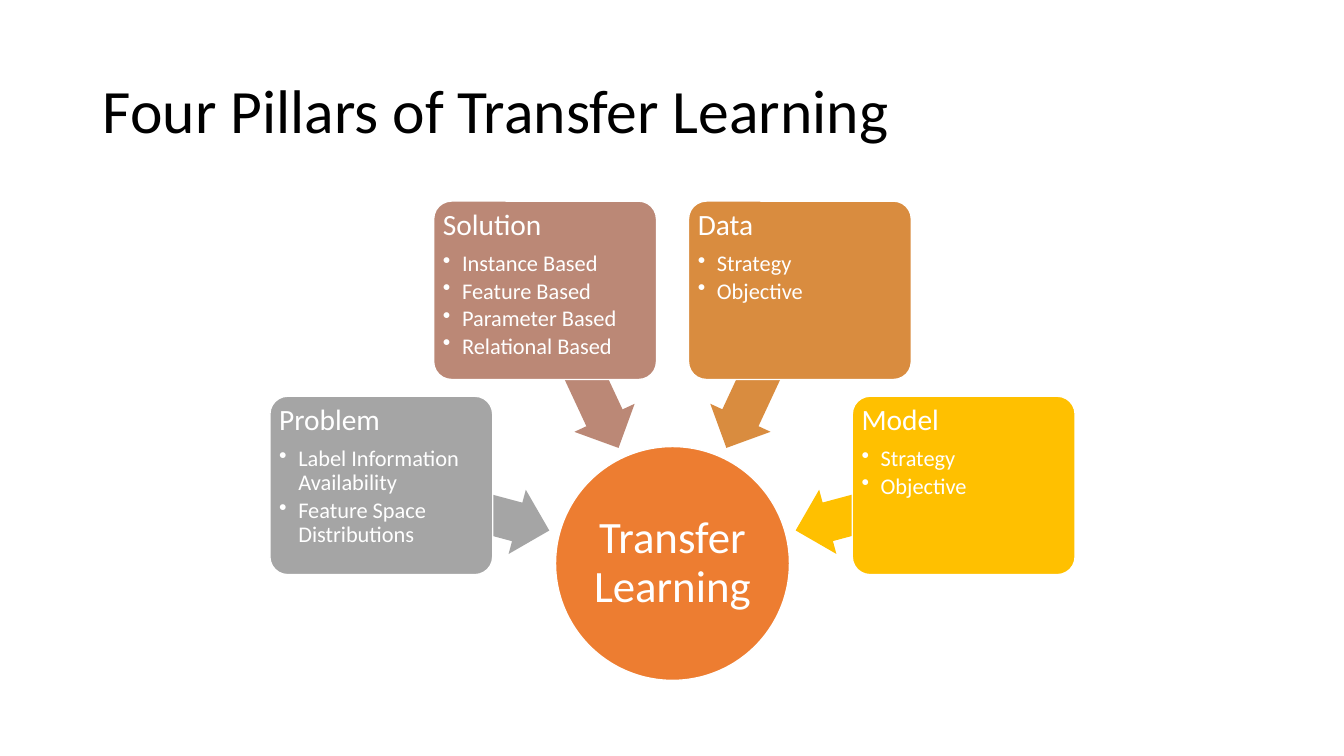
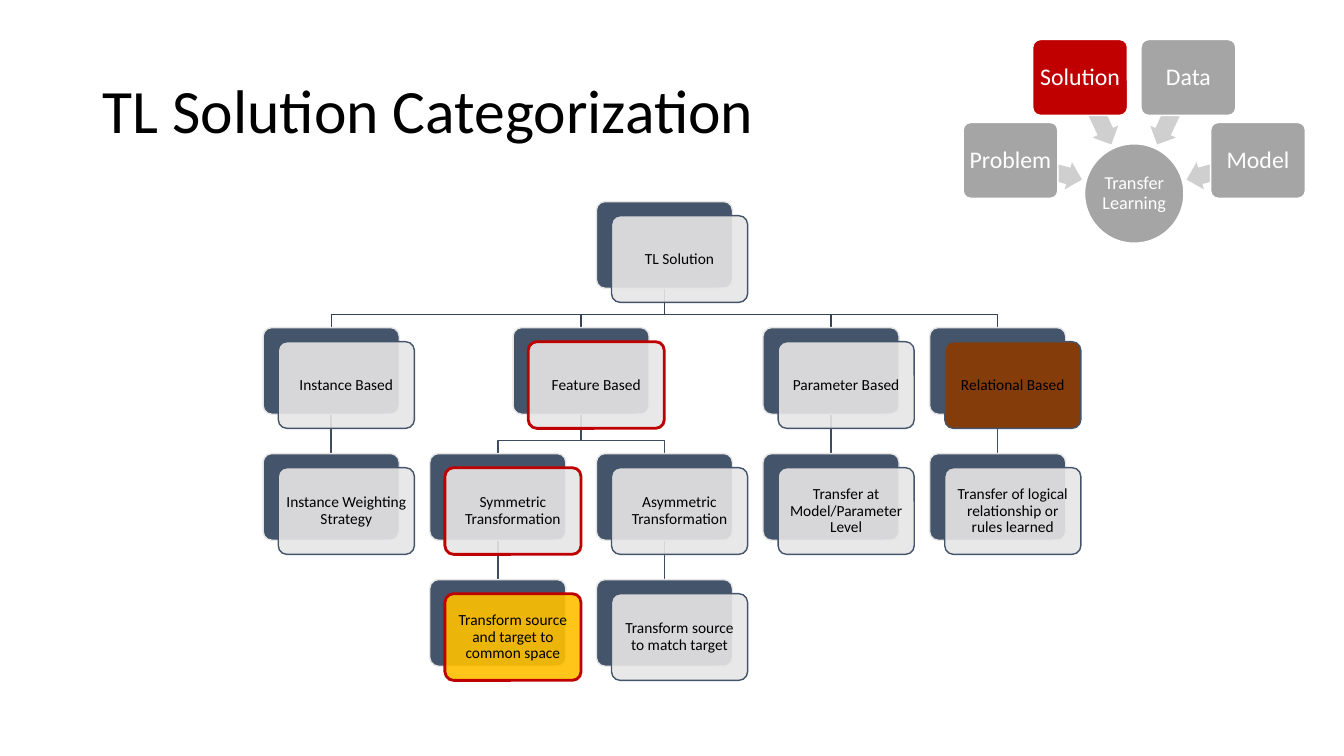
from dataclasses import dataclass
from itertools import count
from math import cos, radians, sin
from typing import Iterator

from lxml import etree
from pptx import Presentation
from pptx.dml.color import RGBColor
from pptx.enum.shapes import MSO_CONNECTOR, MSO_SHAPE
from pptx.enum.text import MSO_ANCHOR, MSO_AUTO_SIZE, PP_ALIGN
from pptx.oxml.ns import qn
from pptx.presentation import Presentation as Deck
from pptx.shapes.autoshape import Shape
from pptx.slide import Slide
from pptx.text.text import TextFrame, _Paragraph
from pptx.util import Emu, Pt

ELLIPSE, ROUNDED = MSO_SHAPE.OVAL, MSO_SHAPE.ROUNDED_RECTANGLE
LEFT_ARROW, STRAIGHT = MSO_SHAPE.LEFT_ARROW, MSO_CONNECTOR.STRAIGHT
LEFT, CENTER = PP_ALIGN.LEFT, PP_ALIGN.CENTER
TOP, MIDDLE = MSO_ANCHOR.TOP, MSO_ANCHOR.MIDDLE
NO_AUTOFIT = MSO_AUTO_SIZE.NONE
TITLE_ONLY = 5
EMU_PER_PX = 9144  # 100 px to the inch


@dataclass(frozen=True)
class Theme:
    font: str = "Calibri"
    black: str = "000000"
    white: str = "FFFFFF"
    grey: str = "A5A5A5"
    pale_grey: str = "CFCFCF"
    orange: str = "ED7D31"
    rose: str = "BB8876"
    amber: str = "D98C3F"
    gold: str = "FFC000"
    red: str = "C00000"
    brown: str = "843C0B"
    slate: str = "44546A"
    card: str = "E7E6E6"
    root_link: str = "364355"
    link: str = "3E4C60"
    title_size: int = 44
    bullet_size: int = 16
    node_size: int = 11
    line_spacing: float = 0.9


THEME = Theme()


@dataclass(frozen=True)
class Box:
    left: float
    top: float
    width: float
    height: float


@dataclass(frozen=True)
class Pillar:
    name: str
    color: str
    arrow_color: str
    bullets: tuple[str, ...] = ()


@dataclass(frozen=True)
class Hub:
    """A circle with pillars around it; scale 1 is the full-size diagram."""
    center_x: int
    center_y: int
    scale: float
    color: str
    hub_size: int
    pillar_size: int
    pillars: tuple[Pillar, ...]


@dataclass(frozen=True)
class Node:
    text: str
    children: tuple["Node", ...] = ()
    fill: str = THEME.card
    line: str = THEME.slate
    alpha: int = 90


@dataclass(frozen=True)
class PlacedNode:
    node: Node
    column: float
    level: int
    children: tuple["PlacedNode", ...]


HUB_DIAMETER = 232
PILLAR_WIDTH, PILLAR_HEIGHT, PILLAR_RADIUS = 221, 177, 299
ARROW_WIDTH, ARROW_HEIGHT, ARROW_RADIUS = 173, 66, 213
FIRST_ANGLE, ANGLE_STEP = 195, 50

TREE_LEFT, TREE_TOP = 261, 200
COLUMN_PITCH, LEVEL_PITCH = 165.25, 125
NODE_WIDTH, NODE_HEIGHT = 135, 86
CARD_SHIFT_X, CARD_SHIFT_Y = 15, 14
ELBOW_DROP = 26

PILLARS = (
    Pillar("Problem", THEME.grey, THEME.grey,
           ("Label Information Availability", "Feature Space Distributions")),
    Pillar("Solution", THEME.rose, THEME.rose,
           ("Instance Based", "Feature Based", "Parameter Based", "Relational Based")),
    Pillar("Data", THEME.amber, THEME.amber, ("Strategy", "Objective")),
    Pillar("Model", THEME.gold, THEME.gold, ("Strategy", "Objective")),
)
OVERVIEW = Hub(667, 559, 1, THEME.orange, 32, 21, PILLARS)
NAVIGATOR = Hub(1125, 192, 0.425, THEME.grey, 13, 17, tuple(
    Pillar(pillar.name, THEME.red if pillar.name == "Solution" else THEME.grey,
           THEME.pale_grey)
    for pillar in PILLARS))

SOLUTION_TREE = Node("TL Solution", (
    Node("Instance Based", (Node("Instance Weighting Strategy"),)),
    Node("Feature Based", (
        Node("Symmetric Transformation", (
            Node("Transform source and target to common space",
                 fill=THEME.gold, line=THEME.red),
        ), line=THEME.red),
        Node("Asymmetric Transformation", (Node("Transform source to match target"),)),
    ), line=THEME.red),
    Node("Parameter Based", (Node("Transfer at Model/Parameter Level"),)),
    Node("Relational Based", (Node("Transfer of logical relationship or rules learned"),),
         fill=THEME.brown, alpha=100),
))


def px(length: float) -> Emu:
    return Emu(round(length * EMU_PER_PX))


def rgb(color: str) -> RGBColor:
    return RGBColor.from_string(color)


def centered(x: float, y: float, width: float, height: float) -> Box:
    return Box(x - width / 2, y - height / 2, width, height)


def add_shape(slide: Slide, kind: MSO_SHAPE, box: Box, fill: str,
              line: str | None = None, line_width: float = 1, alpha: int = 100) -> Shape:
    shape = slide.shapes.add_shape(
        kind, px(box.left), px(box.top), px(box.width), px(box.height))
    shape.shadow.inherit = False
    shape.fill.solid()
    shape.fill.fore_color.rgb = rgb(fill)
    if alpha < 100:
        color = shape.fill._xPr.find(qn("a:solidFill"))[0]
        etree.SubElement(color, qn("a:alpha")).set("val", str(alpha * 1000))
    if line:
        shape.line.color.rgb = rgb(line)
        shape.line.width = Pt(line_width)
    else:
        shape.line.fill.background()
    if kind == ROUNDED:
        shape.adjustments[0] = 0.1
    return shape


def format_para(para: _Paragraph, size: int, color: str, align: PP_ALIGN) -> None:
    para.alignment = align
    para.line_spacing = THEME.line_spacing
    for run in para.runs:
        run.font.name = THEME.font
        run.font.size = Pt(size)
        run.font.color.rgb = rgb(color)


def add_bullet(para: _Paragraph) -> None:
    properties = para._p.get_or_add_pPr()
    properties.set("marL", str(px(19)))
    properties.set("indent", str(px(-19)))
    etree.SubElement(properties, qn("a:buChar")).set("char", "•")


def set_insets(frame: TextFrame, inset: int) -> None:
    frame.word_wrap = True
    frame.margin_left = frame.margin_right = px(inset)
    frame.margin_top = frame.margin_bottom = px(inset)


def write_label(shape: Shape, text: str, size: int, color: str, inset: int) -> None:
    frame = shape.text_frame
    set_insets(frame, inset)
    frame.vertical_anchor = MIDDLE
    frame.text = text
    format_para(frame.paragraphs[0], size, color, CENTER)


def write_list(shape: Shape, heading: str, size: int, bullets: tuple[str, ...]) -> None:
    frame = shape.text_frame
    set_insets(frame, 4)
    frame.vertical_anchor = TOP
    frame.text = heading
    format_para(frame.paragraphs[0], size, THEME.white, LEFT)
    frame.paragraphs[0].space_after = Pt(round(size * 0.35, 1))
    for bullet in bullets:
        para = frame.add_paragraph()
        para.text = bullet
        add_bullet(para)
        format_para(para, THEME.bullet_size, THEME.white, LEFT)
        para.space_after = Pt(round(THEME.bullet_size * 0.15, 1))


def add_titled_slide(deck: Deck, text: str) -> Slide:
    slide = deck.slides.add_slide(deck.slide_layouts[TITLE_ONLY])
    title = slide.shapes.title
    title.left, title.top, title.width, title.height = px(92), px(40), px(1150), px(145)
    frame = title.text_frame
    frame.text = text
    frame.word_wrap = True
    frame.auto_size = NO_AUTOFIT
    frame.vertical_anchor = MIDDLE
    format_para(frame.paragraphs[0], THEME.title_size, THEME.black, LEFT)
    return slide


def draw_hub(slide: Slide, hub: Hub) -> None:
    def around(angle: int, radius: int, width: int, height: int) -> Box:
        distance = radius * hub.scale
        return centered(hub.center_x + distance * cos(radians(angle)),
                        hub.center_y + distance * sin(radians(angle)),
                        width * hub.scale, height * hub.scale)

    circle = add_shape(slide, ELLIPSE, around(0, 0, HUB_DIAMETER, HUB_DIAMETER),
                       hub.color, THEME.white)
    write_label(circle, "Transfer Learning", hub.hub_size, THEME.white, 1)
    for index, pillar in enumerate(hub.pillars):
        angle = FIRST_ANGLE + ANGLE_STEP * index
        arrow = add_shape(slide, LEFT_ARROW,
                          around(angle, ARROW_RADIUS, ARROW_WIDTH, ARROW_HEIGHT),
                          pillar.arrow_color)
        arrow.adjustments[0] = 0.6
        arrow.rotation = angle
        card = add_shape(slide, ROUNDED,
                         around(angle, PILLAR_RADIUS, PILLAR_WIDTH, PILLAR_HEIGHT),
                         pillar.color, THEME.white)
        if pillar.bullets:
            write_list(card, pillar.name, hub.pillar_size, pillar.bullets)
        else:
            write_label(card, pillar.name, hub.pillar_size, THEME.white, 3)


def place(node: Node, leaf_columns: Iterator[int], level: int = 0) -> PlacedNode:
    """Give each leaf the next column and centre each parent over its children."""
    children = tuple(place(child, leaf_columns, level + 1) for child in node.children)
    if children:
        column = (children[0].column + children[-1].column) / 2
    else:
        column = next(leaf_columns)
    return PlacedNode(node, column, level, children)


def node_box(placed: PlacedNode) -> Box:
    return Box(TREE_LEFT + COLUMN_PITCH * placed.column,
               TREE_TOP + LEVEL_PITCH * placed.level, NODE_WIDTH, NODE_HEIGHT)


def draw_link(slide: Slide, parent: PlacedNode, child: PlacedNode) -> None:
    upper, lower = node_box(parent), node_box(child)
    start_x, end_x = px(upper.left + NODE_WIDTH / 2), px(lower.left + NODE_WIDTH / 2)
    start_y, end_y = px(upper.top + NODE_HEIGHT), px(lower.top)
    if start_x == end_x:
        link = slide.shapes.add_connector(STRAIGHT, start_x, start_y, end_x, end_y)
        etree.SubElement(link._element.spPr, qn("a:effectLst"))
    else:
        elbow_y = start_y + px(ELBOW_DROP)
        outline = slide.shapes.build_freeform(start_x, start_y)
        outline.add_line_segments(
            [(start_x, elbow_y), (end_x, elbow_y), (end_x, end_y)], close=False)
        link = outline.convert_to_shape()
        link.fill.background()
        link.shadow.inherit = False
    link.line.color.rgb = rgb(THEME.link if parent.level else THEME.root_link)
    link.line.width = Pt(1)


def draw_links(slide: Slide, parent: PlacedNode) -> None:
    for child in parent.children:
        draw_links(slide, child)
        draw_link(slide, parent, child)


def draw_nodes(slide: Slide, placed: PlacedNode) -> None:
    node, back = placed.node, node_box(placed)
    front = Box(back.left + CARD_SHIFT_X, back.top + CARD_SHIFT_Y, back.width, back.height)
    add_shape(slide, ROUNDED, back, THEME.slate, THEME.card)
    card = add_shape(slide, ROUNDED, front, node.fill, node.line,
                     2 if node.line == THEME.red else 1, node.alpha)
    write_label(card, node.text, THEME.node_size, THEME.black, 5)
    for child in placed.children:
        draw_nodes(slide, child)


def main() -> None:
    deck = Presentation()
    deck.slide_width, deck.slide_height = px(1333), px(750)
    draw_hub(add_titled_slide(deck, "Four Pillars of Transfer Learning"), OVERVIEW)
    slide = add_titled_slide(deck, "TL Solution Categorization")
    tree = place(SOLUTION_TREE, count())
    draw_links(slide, tree)
    draw_nodes(slide, tree)
    draw_hub(slide, NAVIGATOR)
    deck.save("out.pptx")


if __name__ == "__main__":
    main()
